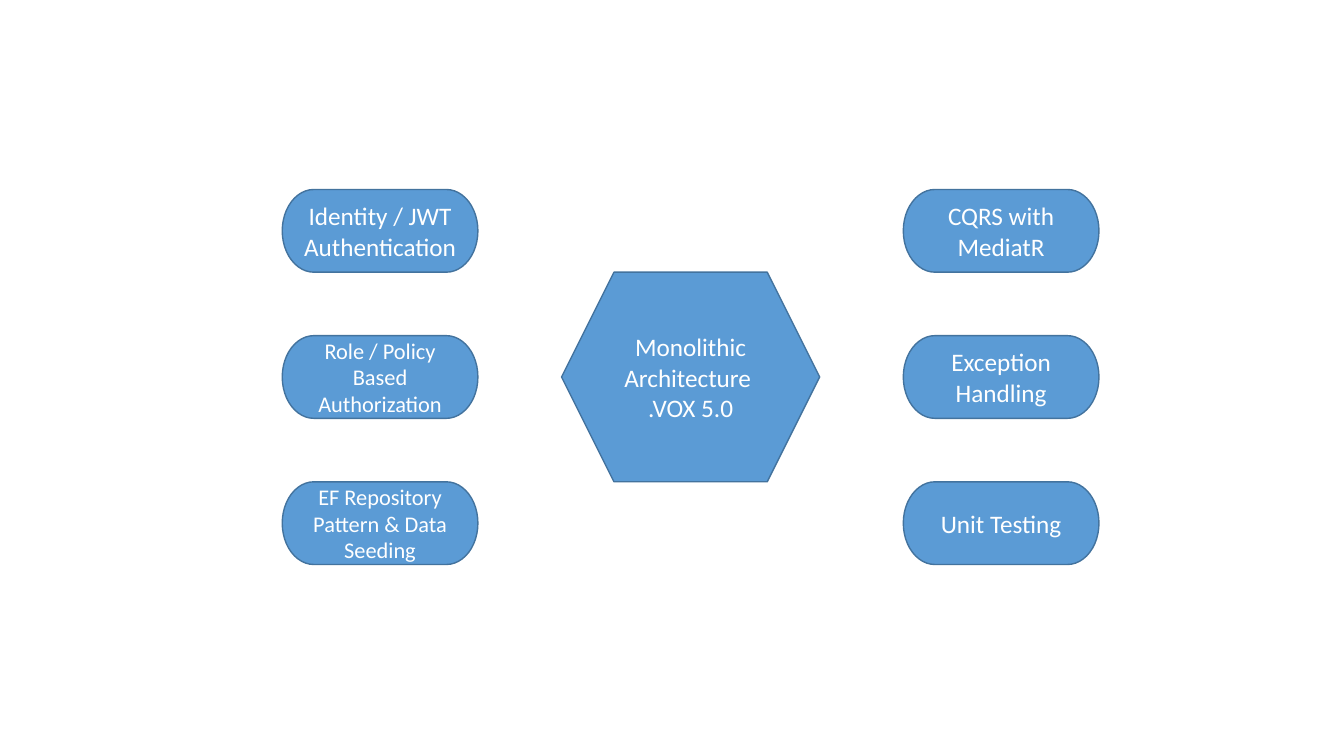
from pptx import Presentation, util as u
from pptx.dml.color import RGBColor
from pptx.enum import shapes, text

BLUE = RGBColor(0x5B, 0x9B, 0xD5)
EDGE = RGBColor(0x43, 0x73, 0x9E)
WHITE = RGBColor(0xFF, 0xFF, 0xFF)

deck = Presentation()
deck.slide_width, deck.slide_height = u.Inches(13.33), u.Inches(7.5)
slide = deck.slides.add_slide(deck.slide_layouts[6])


def node(words, kind, mid, row, wide, high, size=18):
    item = slide.shapes.add_shape(
        kind, u.Inches(mid - wide / 2), u.Inches(row - high / 2),
        u.Inches(wide), u.Inches(high))
    item.shadow.inherit = False
    item.fill.solid()
    item.fill.fore_color.rgb = BLUE
    item.line.color.rgb = EDGE
    item.line.width = u.Pt(1)
    frame = item.text_frame
    frame.word_wrap = True
    frame.vertical_anchor = text.MSO_ANCHOR.MIDDLE
    frame.text = words
    for para in frame.paragraphs:
        para.alignment = text.PP_ALIGN.CENTER
        font = para.runs[0].font
        font.name, font.size, font.color.rgb = "Calibri", u.Pt(size), WHITE


hub_x, hub_y = 6.85, 3.74
col_gap, row_gap = 3.08, 1.45

node("Monolithic Architecture \n.VOX 5.0", shapes.MSO_SHAPE.HEXAGON,
     hub_x, hub_y, wide=2.56, high=2.08)

topics = {
    -1: [("Identity / JWT Authentication", 18),
         ("Role / Policy Based Authorization", 16),
         ("EF Repository Pattern & Data Seeding", 16)],
    1: [("CQRS with MediatR", 18),
        ("Exception Handling", 18),
        ("Unit Testing", 18)],
}
for side, items in topics.items():
    for step, (words, size) in enumerate(items, -1):
        node(words, shapes.MSO_SHAPE.FLOWCHART_TERMINATOR,
             hub_x + side * col_gap, hub_y + step * row_gap,
             wide=1.94, high=0.82, size=size)

deck.save("out.pptx")
